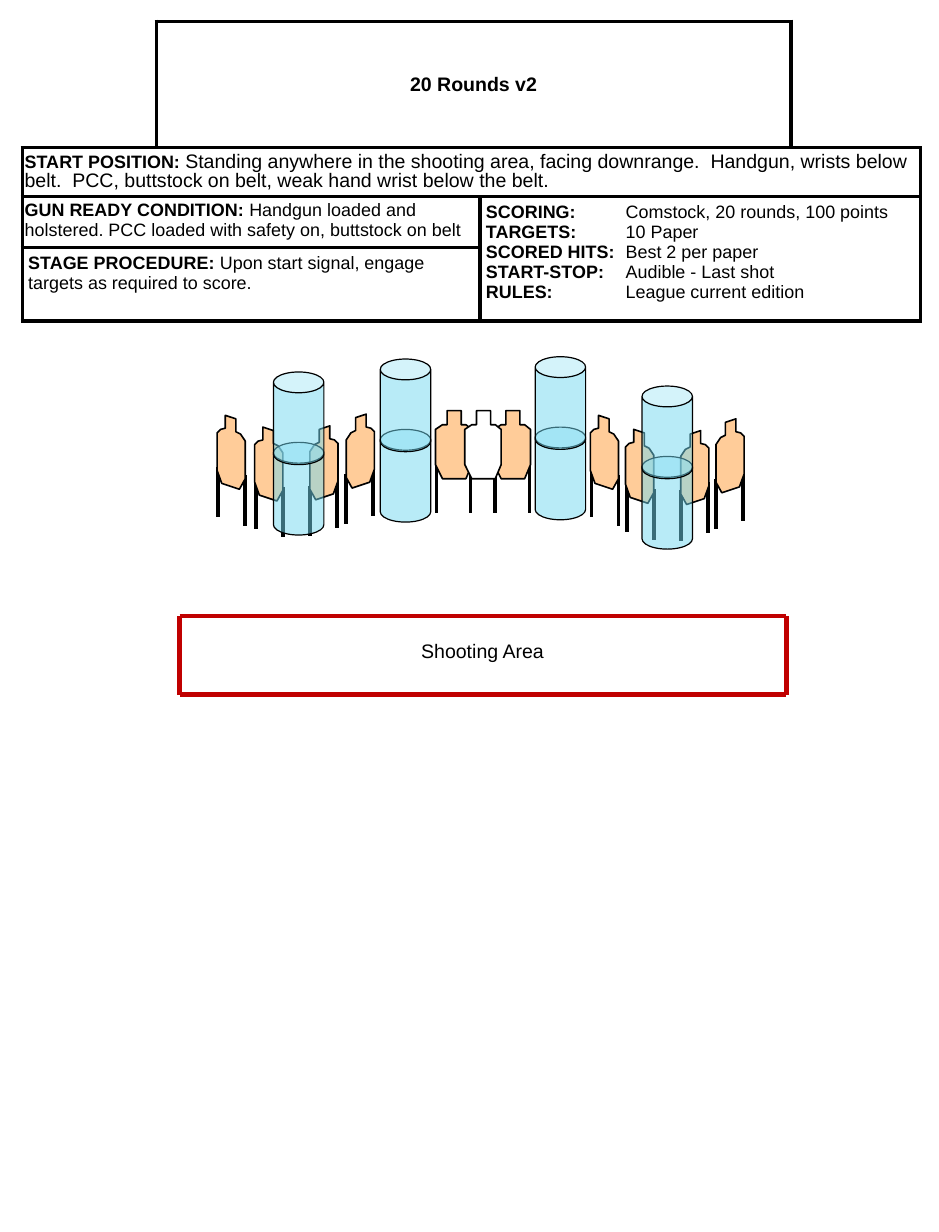
from dataclasses import dataclass
from typing import Any, NamedTuple

import lxml.etree
import pptx
import pptx.dml.color
import pptx.enum.shapes
import pptx.enum.text
import pptx.oxml.ns
import pptx.util

Inches = pptx.util.Inches
Pt = pptx.util.Pt
qn = pptx.oxml.ns.qn


@dataclass(frozen=True)
class Theme:
    font: str = "Arial"
    black: str = "000000"
    white: str = "FFFFFF"
    tan: str = "FFCC99"
    blue: str = "73D9F1"
    red: str = "C00000"
    large: float = 12
    small: float = 11
    thick: float = 3
    rule: float = 2.25
    edge: float = 1
    thin: float = 0.75


class Run(NamedTuple):
    text: str
    size: float
    bold: bool = False


class Cell(NamedTuple):
    row: int
    col: int
    rows: int
    cols: int
    pad: tuple[float, float]
    lines: list[list[Run]]
    form: dict[str, Any]
    tab: float = 0


class Form(NamedTuple):
    points: list[tuple[float, float]]
    legs: list[tuple[float, float]]
    wide: float
    leg: float


class Target(NamedTuple):
    left: float
    top: float
    form: Form
    flip: bool = False


class Can(NamedTuple):
    left: float
    top: float


THEME = Theme()
SIDE = Form([(.16, .03), (.07, 0), (.07, .11), (.03, .12), (0, .15), (0, .47),
             (.04, .58), (.19, .63), (.24, .54), (.24, .22), (.2, .16), (.16, .14)],
            [(.24, .51), (.01, .44)], .24, .43)
FRONT = Form([(.1, 0), (.22, 0), (.22, .12), (.26, .12), (.31, .16), (.31, .46),
              (.26, .58), (.06, .58), (0, .46), (0, .16), (.06, .12), (.1, .12)],
             [(.01, .43), (.3, .43)], .31, .44)
PLAIN = Form(FRONT.points, [], .31, 0)

# From back to front
SCENE = [
    Target(5.03, 3.54, SIDE), Target(5.33, 3.66, SIDE),
    Target(6.1, 3.57, SIDE, True), Target(5.8, 3.67, SIDE, True),
    Can(5.47, 3.29), Target(3.71, 3.5, FRONT),
    Target(1.85, 3.54, SIDE), Target(2.17, 3.64, SIDE),
    Target(2.95, 3.53, SIDE, True), Target(2.64, 3.63, SIDE, True),
    Can(2.33, 3.17), Can(3.24, 3.06), Target(4.21, 3.5, FRONT),
    Can(4.56, 3.04), Target(3.96, 3.5, PLAIN),
]

BIG, SMALL = THEME.large, THEME.small
FACTS = [("SCORING:", "Comstock, 20 rounds, 100 points"), ("TARGETS:", "10 Paper"),
         ("SCORED HITS:", "Best 2 per paper"), ("START-STOP:", "Audible - Last shot"),
         ("RULES:", "League current edition")]
CELLS = [
    Cell(0, 1, 1, 2, (.05, .05), [[Run("20 Rounds v2", BIG, True)]],
         {"alignment": pptx.enum.text.PP_ALIGN.CENTER}),
    Cell(1, 0, 1, 4, (.02, .04), [[
        Run("START POSITION: ", SMALL, True),
        Run("Standing anywhere in the shooting area, facing downrange.  Handgun, wrists "
            "below belt.  PCC, buttstock on belt, weak hand wrist below the belt.", BIG)]],
         {"line_spacing": 0.9}),
    Cell(2, 0, 1, 2, (.02, .03), [[
        Run("GUN READY CONDITION: ", SMALL, True),
        Run("Handgun loaded and holstered. PCC loaded with safety on, buttstock on belt",
            SMALL)]], {}),
    Cell(2, 2, 2, 2, (.05, .05),
         [[Run(name, SMALL, True), Run("\t" + fact, SMALL)] for name, fact in FACTS],
         {}, 1.19),
    Cell(3, 0, 1, 2, (.05, .05), [[
        Run("STAGE PROCEDURE: ", SMALL, True),
        Run("Upon start signal, engage targets as required to score.", SMALL)]], {}),
]


def style(item: Any, form: dict[str, Any]) -> None:
    for key, value in form.items():
        setattr(item, key, value)


def tint(code: str) -> Any:
    return pptx.dml.color.RGBColor.from_string(code)


def paint(fill: Any, code: str) -> None:
    fill.solid()
    fill.fore_color.rgb = tint(code)


def stroke(line: Any, code: str, width: float) -> None:
    line.color.rgb = tint(code)
    line.width = Pt(width)


def write(para: Any, run: Run) -> None:
    part = para.add_run()
    part.text = run.text
    style(part.font, {"name": THEME.font, "size": Pt(run.size), "bold": run.bold})
    part.font.color.rgb = tint(THEME.black)


def draw_line(shapes: Any, ends: tuple[float, float, float, float],
              code: str, width: float) -> None:
    kind = pptx.enum.shapes.MSO_CONNECTOR.STRAIGHT
    line = shapes.add_connector(kind, *map(Inches, ends))
    stroke(line.line, code, width)
    lxml.etree.SubElement(line._element.spPr, qn("a:effectLst"))


def draw_target(shapes: Any, item: Target) -> None:
    form = item.form

    def place(x: float) -> float:
        return item.left + (form.wide - x if item.flip else x)

    if form.legs:
        shapes = shapes.add_group_shape().shapes
    for x, y in form.legs:
        top = item.top + y
        draw_line(shapes, (place(x), top, place(x), top + form.leg),
                  THEME.black, THEME.rule)
    points = [(Inches(place(x)), Inches(item.top + y)) for x, y in form.points]
    path = shapes.build_freeform(*points[0])
    path.add_line_segments(points[1:], close=True)
    body = path.convert_to_shape()
    body.shadow.inherit = False
    paint(body.fill, THEME.tan if form.legs else THEME.white)
    stroke(body.line, THEME.black, THEME.edge)


def draw_can(shapes: Any, item: Can) -> None:
    """Stack two half-clear cans, the lower one at the back."""
    group = shapes.add_group_shape().shapes
    for drop in (.6, 0):
        can = group.add_shape(pptx.enum.shapes.MSO_SHAPE.CAN, Inches(item.left),
                              Inches(item.top + drop), Inches(.43), Inches(.79))
        can.adjustments[0] = 0.413
        can.shadow.inherit = False
        paint(can.fill, THEME.blue)
        shade = can._element.spPr.find(qn("a:solidFill"))[0]
        lxml.etree.SubElement(shade, qn("a:alpha"), val="50000")
        stroke(can.line, THEME.black, THEME.thin)


def frame(cell: Any, sides: str) -> None:
    """Rule the given sides of a cell, and clear the others."""
    props = cell._tc.get_or_add_tcPr()
    for spot, side in enumerate("LRTB"):
        edge = lxml.etree.Element(qn("a:ln" + side), w=str(Pt(THEME.rule)))
        if side in sides:
            fill = lxml.etree.SubElement(edge, qn("a:solidFill"))
            lxml.etree.SubElement(fill, qn("a:srgbClr"), val=THEME.black)
        else:
            lxml.etree.SubElement(edge, qn("a:noFill"))
        props.insert(spot, edge)


def fill_cell(table: Any, item: Cell) -> None:
    cell = table.cell(item.row, item.col)
    cell.merge(table.cell(item.row + item.rows - 1, item.col + item.cols - 1))
    across, down = map(Inches, item.pad)
    anchor = pptx.enum.text.MSO_ANCHOR
    style(cell, {"margin_left": across, "margin_right": across, "margin_top": down,
                 "margin_bottom": down,
                 "vertical_anchor": anchor.TOP if item.row else anchor.MIDDLE})
    for spot, runs in enumerate(item.lines):
        text = cell.text_frame
        para = text.add_paragraph() if spot else text.paragraphs[0]
        if item.tab:
            tabs = lxml.etree.SubElement(para._p.get_or_add_pPr(), qn("a:tabLst"))
            lxml.etree.SubElement(tabs, qn("a:tab"), pos=str(Inches(item.tab)), algn="l")
        style(para, item.form)
        for run in runs:
            write(para, run)


def draw_table(shapes: Any) -> None:
    wide, high = [1.14, 2.76, 2.65, 1.1], [1.08, .37, .43, .63]
    table = shapes.add_table(len(high), len(wide), Inches(.19), Inches(.18),
                             Inches(sum(wide)), Inches(sum(high))).table
    style(table, {"first_row": False, "horz_banding": False})
    for col, width in zip(table.columns, wide):
        col.width = Inches(width)
    for row, height in zip(table.rows, high):
        row.height = Inches(height)
    corners = {(0, 0): "RB", (0, 3): "LB"}
    for r in range(len(high)):
        for c in range(len(wide)):
            paint(table.cell(r, c).fill, THEME.white)
            frame(table.cell(r, c), corners.get((r, c), "LRTB"))
    for item in CELLS:
        fill_cell(table, item)


def draw_area(shapes: Any) -> None:
    left, top, right, base = 1.53, 5.25, 6.7, 5.92
    for ends in ((left, top, right, top), (left, top, left, base),
                 (right, top, right, base), (left, base, right, base)):
        draw_line(shapes, ends, THEME.red, THEME.thick)
    box = shapes.add_textbox(Inches(3.49), Inches(5.4), Inches(1.26), Inches(.3))
    style(box.text_frame, {"word_wrap": False,
                           "auto_size": pptx.enum.text.MSO_AUTO_SIZE.SHAPE_TO_FIT_TEXT})
    write(box.text_frame.paragraphs[0], Run("Shooting Area", BIG))


def main() -> None:
    deck = pptx.Presentation()
    style(deck, {"slide_width": Inches(8), "slide_height": Inches(10.5)})
    shapes = deck.slides.add_slide(deck.slide_layouts[6]).shapes
    draw_table(shapes)
    draw_area(shapes)
    for item in SCENE:
        (draw_can if isinstance(item, Can) else draw_target)(shapes, item)
    deck.save("out.pptx")


if __name__ == "__main__":
    main()
